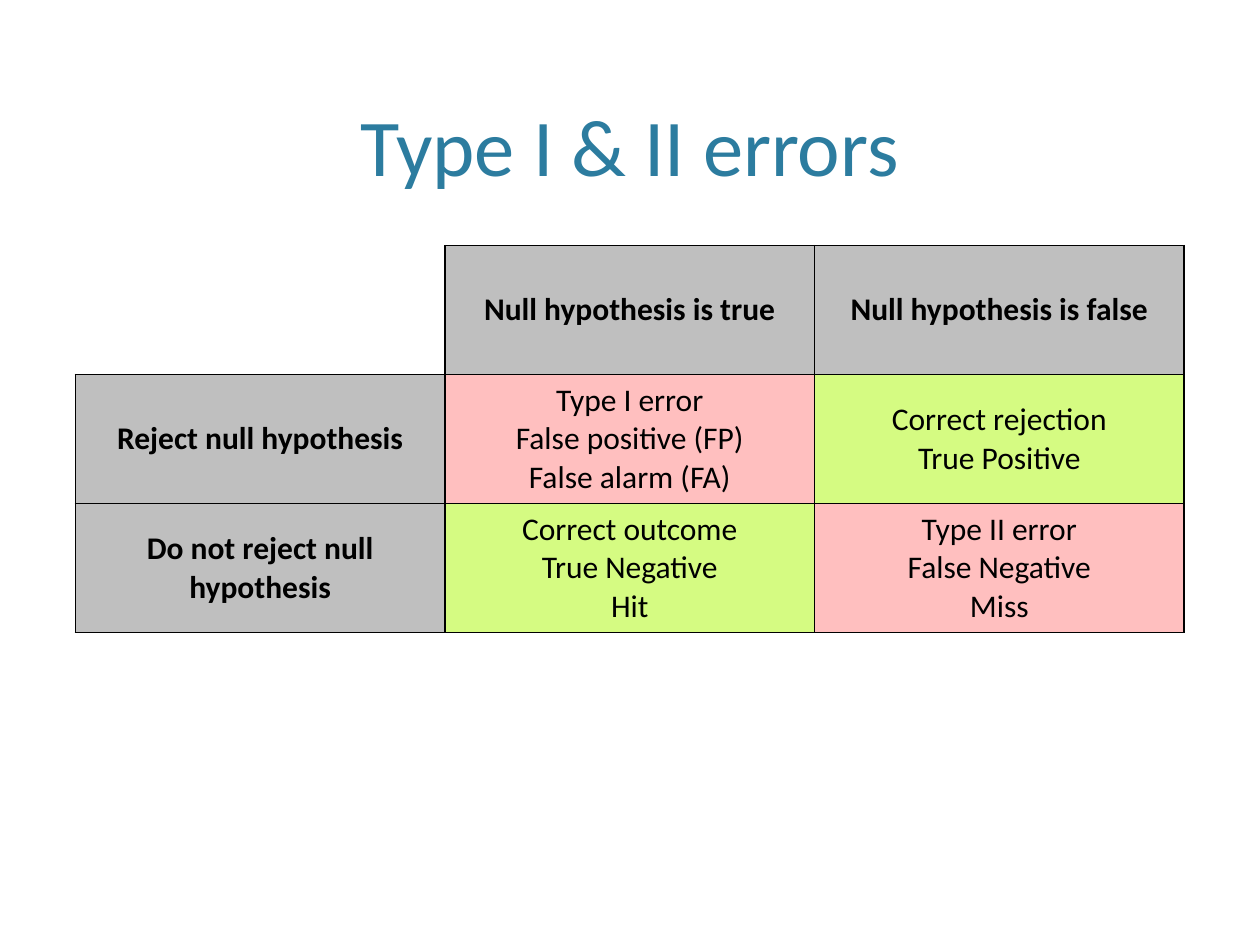
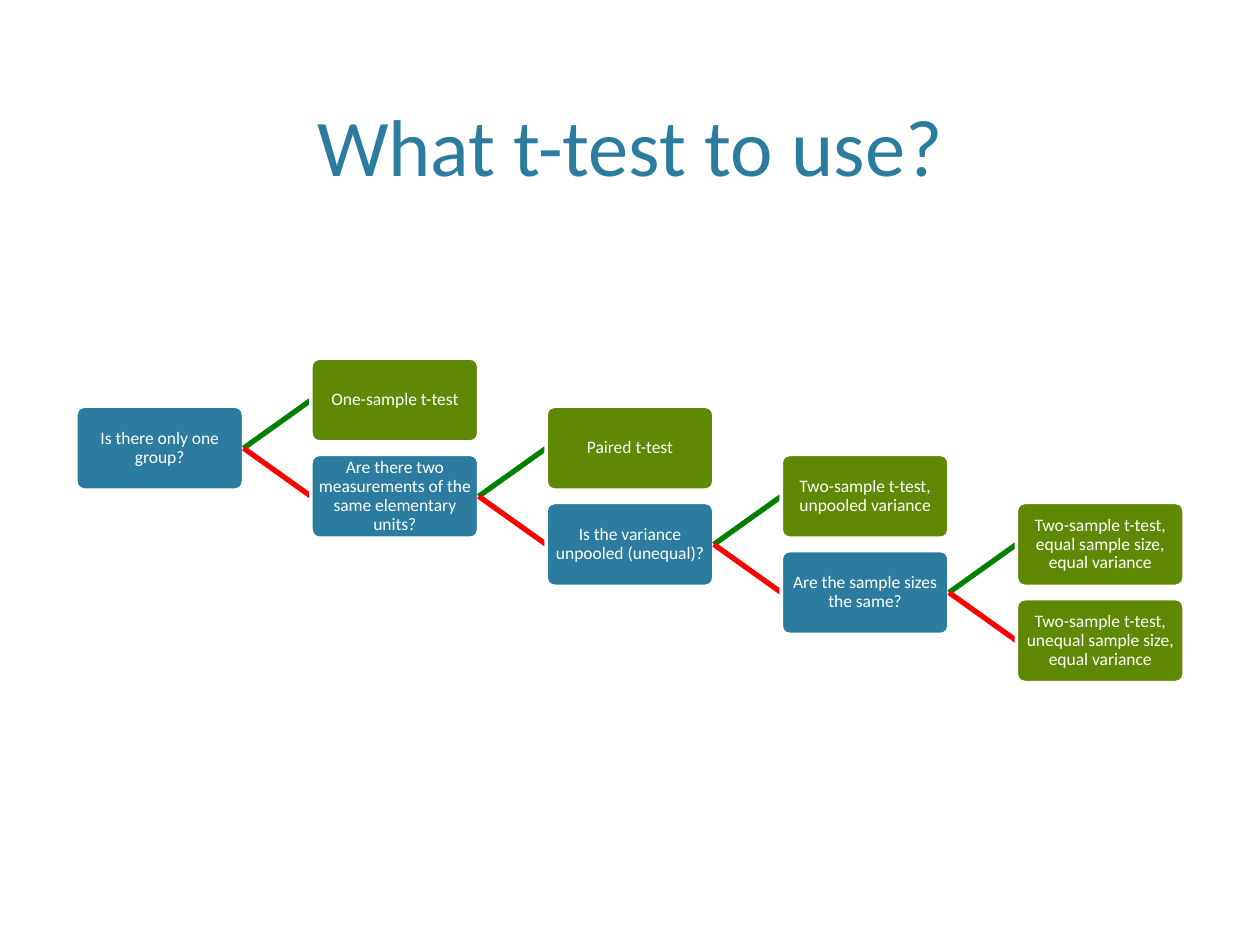
from dataclasses import dataclass

from lxml import etree
from pptx import Presentation
from pptx import util as u
from pptx.dml.color import RGBColor
from pptx.enum import shapes, text
from pptx.oxml.ns import qn


@dataclass(frozen=True)
class Theme:
    font: str = "Calibri"
    blue: str = "2C7C9F"
    green: str = "5F8804"
    yes: str = "008000"
    no: str = "FF0000"
    header: str = "BFBFBF"
    error: str = "FFBFBF"
    correct: str = "D5FB82"
    black: str = "000000"
    white: str = "FFFFFF"
    title_size: int = 46
    table_size: int = 18
    box_size: int = 10


theme = Theme()


def write(frame, content, size, color, bold=False):
    """Fill a text frame with centred paragraphs, one per line of content."""
    frame.word_wrap = True
    frame.text = content
    for paragraph in frame.paragraphs:
        paragraph.alignment = text.PP_ALIGN.CENTER
        paragraph.font.name = theme.font
        paragraph.font.size = u.Pt(size)
        paragraph.font.bold = bold
        paragraph.font.color.rgb = RGBColor.from_string(color)


def add_box(slide, question, left, top, color):
    box = slide.shapes.add_shape(shapes.MSO_SHAPE.ROUNDED_RECTANGLE,
                                 u.Cm(left), u.Cm(top), u.Cm(box_width), u.Cm(box_height))
    box.adjustments[0] = 0.1
    box.shadow.inherit = False
    box.fill.solid()
    box.fill.fore_color.rgb = RGBColor.from_string(color)
    box.line.color.rgb = RGBColor.from_string(theme.white)
    box.line.width = u.Pt(2)
    frame = box.text_frame
    frame.margin_left = frame.margin_right = u.Cm(0.03)
    frame.margin_top = frame.margin_bottom = u.Cm(0.03)
    frame.vertical_anchor = text.MSO_ANCHOR.MIDDLE
    write(frame, question, theme.box_size, theme.white)
    frame.paragraphs[0].line_spacing = 0.9
    return box


prs = Presentation()
prs.slide_width, prs.slide_height = u.Cm(25.4), u.Cm(19.05)

slides = []
for heading in ("Type I & II errors", "What t-test to use?"):
    slide = prs.slides.add_slide(prs.slide_layouts[6])
    title = slide.shapes.add_textbox(u.Cm(1.52), u.Cm(0.3), u.Cm(22.35), u.Cm(3.71))
    title.text_frame.vertical_anchor = text.MSO_ANCHOR.BOTTOM
    write(title.text_frame, heading, theme.title_size, theme.blue)
    slides.append(slide)
errors_slide, choice_slide = slides

# Decision outcomes: wording and fill of each cell
outcomes = [
    [("", None),
     ("Null hypothesis is true", theme.header),
     ("Null hypothesis is false", theme.header)],
    [("Reject null hypothesis", theme.header),
     ("Type I error\nFalse positive (FP)\nFalse alarm (FA)", theme.error),
     ("Correct rejection\nTrue Positive", theme.correct)],
    [("Do not reject null hypothesis", theme.header),
     ("Correct outcome\nTrue Negative\nHit", theme.correct),
     ("Type II error\nFalse Negative\nMiss", theme.error)],
]
table = errors_slide.shapes.add_table(3, 3, u.Cm(1.52), u.Cm(4.95), u.Cm(22.35), u.Cm(7.8)).table
table.first_row = table.horz_banding = False
for row, entries in enumerate(outcomes):
    for column, (wording, fill) in enumerate(entries):
        cell = table.cell(row, column)
        cell.vertical_anchor = text.MSO_ANCHOR.MIDDLE
        write(cell.text_frame, wording, theme.table_size, theme.black, bold=fill == theme.header)
        properties = cell._tc.get_or_add_tcPr()
        for side in ("lnL", "lnR", "lnT", "lnB"):
            border = etree.SubElement(properties, qn(f"a:{side}"), w=str(u.Pt(1)))
            if fill or side in ("lnR", "lnB"):
                ink = etree.SubElement(border, qn("a:solidFill"))
                etree.SubElement(ink, qn("a:srgbClr"), val=theme.black)
            else:
                etree.SubElement(border, qn("a:noFill"))
        if fill:
            cell.fill.solid()
            cell.fill.fore_color.rgb = RGBColor.from_string(fill)
        else:
            cell.fill.background()

# Decision tree: each question leads up to a test and down to the next step
box_width, box_height = 3.38, 1.69
first_left, first_top = 1.53, 8.19
level_step, branch_rise = 4.74, 0.97
decisions = [
    ("One-sample t-test", "Are there two measurements of the same elementary units?"),
    ("Paired t-test", "Is the variance unpooled (unequal)?"),
    ("Two-sample t-test, unpooled variance", "Are the sample sizes the same?"),
    ("Two-sample t-test, equal sample size, equal variance",
     "Two-sample t-test, unequal sample size, equal variance"),
]
question = add_box(choice_slide, "Is there only one group?", first_left, first_top, theme.blue)
for level, (yes_answer, no_answer) in enumerate(decisions):
    no_color = theme.green if level == len(decisions) - 1 else theme.blue
    for answer, fill, branch_color, direction in (
            (yes_answer, theme.green, theme.yes, -1), (no_answer, no_color, theme.no, 1)):
        branch = choice_slide.shapes.add_connector(shapes.MSO_CONNECTOR.STRAIGHT, 0, 0, 0, 0)
        branch.line.color.rgb = RGBColor.from_string(branch_color)
        branch.line.width = u.Pt(3)
        etree.SubElement(branch._element.spPr, qn("a:effectLst"))
        box = add_box(choice_slide, answer, first_left + (level + 1) * level_step,
                      first_top + (level + direction) * branch_rise, fill)
        branch.begin_connect(question, 3)
        branch.end_connect(box, 1)
    question = box

prs.save("out.pptx")
